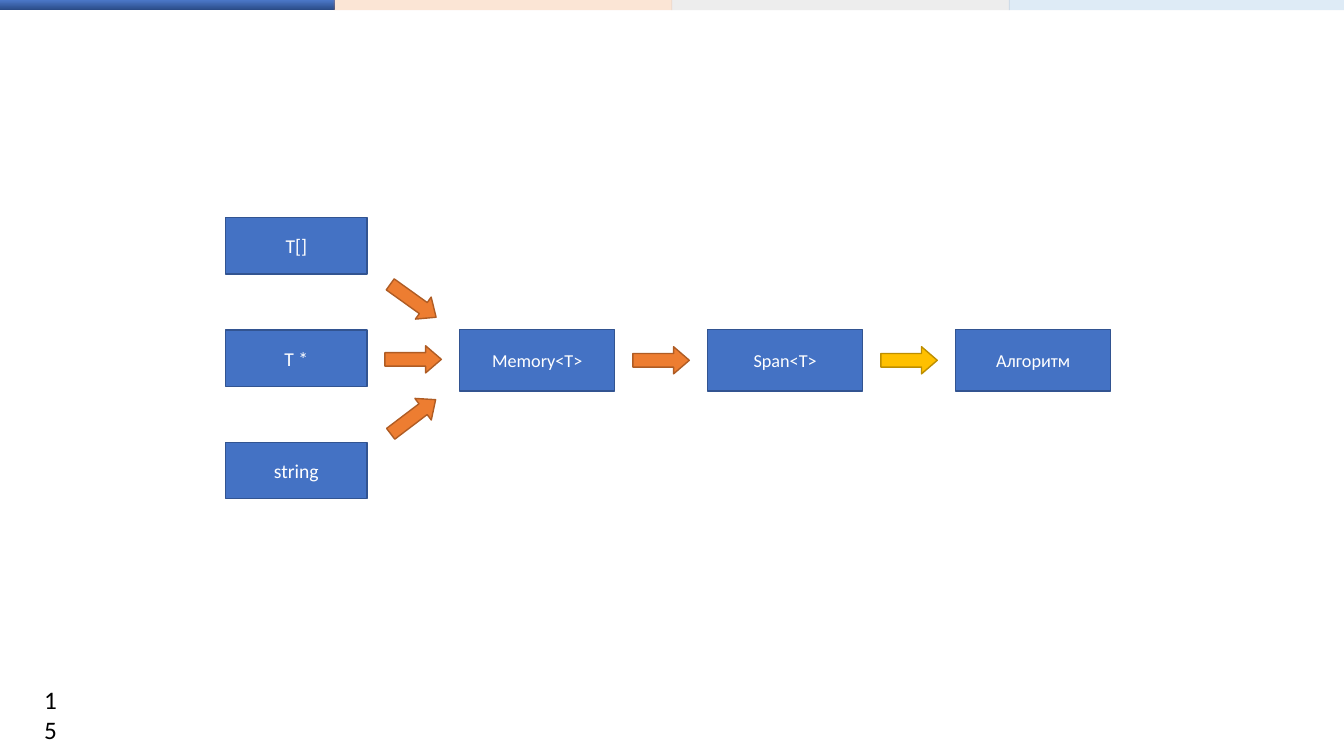
from copy import deepcopy
from dataclasses import dataclass

from lxml import etree
from pptx import Presentation
from pptx.dml.color import RGBColor
from pptx.enum.shapes import MSO_SHAPE
from pptx.enum.text import MSO_ANCHOR, PP_ALIGN
from pptx.oxml.ns import qn
from pptx.util import Pt

RECTANGLE = MSO_SHAPE.RECTANGLE
RIGHT_ARROW = MSO_SHAPE.RIGHT_ARROW
CENTER = PP_ALIGN.CENTER
MIDDLE = MSO_ANCHOR.MIDDLE


@dataclass(frozen=True)
class Theme:
    """Colours and type sizes of the slide."""
    font: str = "Calibri"
    number_size: int = 18
    input_size: int = 14
    stage_size: int = 13
    text: str = "000000"
    box_text: str = "FFFFFF"
    box: tuple = ("4472C4", "325491")
    orange: tuple = ("ED7D31", "AF5C24")
    gold: tuple = ("FFC000", "BD8E00")
    gradient: tuple = ((0, "2A4B86"), (0.48, "4A76C6"), (1, "8FAADC"))
    tints: tuple = ("ED7D31", "A5A5A5", "5B9BD5")
    tint_opacity: int = 20


class Diagram:
    """Draws the elements of one slide in a given theme."""

    def __init__(self, slide, theme):
        self.slide = slide
        self.theme = theme

    def shape(self, kind, left, top, width, height, colors=None):
        """Add a shadowless shape, optionally with a fill and an outline."""
        shape = self.slide.shapes.add_shape(kind, Pt(left), Pt(top), Pt(width), Pt(height))
        shape.shadow.inherit = False
        if colors:
            fill, line = colors
            shape.fill.solid()
            shape.fill.fore_color.rgb = RGBColor.from_string(fill)
            shape.line.color.rgb = RGBColor.from_string(line)
            shape.line.width = Pt(1)
        else:
            shape.line.fill.background()
        return shape

    def label(self, shape, text, size, color):
        """Set the text of a shape and format its runs."""
        shape.text_frame.text = text
        shape.text_frame.word_wrap = True
        for run in shape.text_frame.paragraphs[0].runs:
            run.font.name = self.theme.font
            run.font.size = Pt(size)
            run.font.color.rgb = RGBColor.from_string(color)

    def box(self, text, left, top, width, height, size):
        """Add a labelled rectangle."""
        shape = self.shape(RECTANGLE, left, top, width, height, self.theme.box)
        self.label(shape, text, size, self.theme.box_text)
        shape.text_frame.vertical_anchor = MIDDLE
        shape.text_frame.paragraphs[0].alignment = CENTER

    def arrow(self, left, top, colors, rotation=0):
        """Add a block arrow."""
        shape = self.shape(RIGHT_ARROW, left, top, 40.3, 19.4, colors)
        shape.adjustments[0] = 0.5
        shape.adjustments[1] = 0.58
        shape.rotation = rotation

    def tinted_bar(self, left, top, width, height, color):
        """Add a translucent bar."""
        shape = self.shape(RECTANGLE, left, top, width, height)
        shape.fill.solid()
        shape.fill.fore_color.rgb = RGBColor.from_string(color)
        srgb = next(shape.element.spPr.iter(qn("a:srgbClr")))
        etree.SubElement(srgb, qn("a:alpha")).set("val", str(self.theme.tint_opacity * 1000))

    def gradient_bar(self, left, top, width, height):
        """Add a bar with a vertical gradient of three stops."""
        shape = self.shape(RECTANGLE, left, top, width, height)
        shape.fill.gradient()
        shape.fill.gradient_angle = 90
        stop_list = next(shape.element.spPr.iter(qn("a:gsLst")))
        stop_list.append(deepcopy(stop_list[-1]))
        for stop, (position, color) in zip(shape.fill.gradient_stops, self.theme.gradient):
            stop.position = position
            stop.color.rgb = RGBColor.from_string(color)

    def number(self, text, left, top, width, height):
        """Add the slide number."""
        shape = self.slide.shapes.add_textbox(Pt(left), Pt(top), Pt(width), Pt(height))
        self.label(shape, text, self.theme.number_size, self.theme.text)


def main():
    """Build and save the slide."""
    presentation = Presentation()
    presentation.slide_width = Pt(960)
    presentation.slide_height = Pt(540)
    theme = Theme()
    diagram = Diagram(presentation.slides.add_slide(presentation.slide_layouts[6]), theme)

    diagram.number("15", 24.5, 485.3, 23.8, 28.8)

    bar_left, bar_pitch, bar_top, bar_width, bar_height = -2.9, 241.2, -7.2, 241.9, 14.4
    diagram.gradient_bar(bar_left, bar_top, bar_width, bar_height)
    for index, tint in enumerate(theme.tints, start=1):
        diagram.tinted_bar(bar_left + index * bar_pitch, bar_top, bar_width, bar_height, tint)

    inputs = (("T[]", 205.2, 35.6), ("T *", 247, 0), ("string", 288, 322.8))
    for index, (label, arrow_top, rotation) in enumerate(inputs):
        diagram.box(label, 161.3, 155.4 + index * 80.3, 100.8, 40.3, theme.input_size)
        diagram.arrow(275, arrow_top, theme.orange, rotation)

    stage_left, stage_pitch = 328.3, 177.1
    for index, label in enumerate(("Memory<T>", "Span<T>", "Алгоритм")):
        diagram.box(label, stage_left + index * stage_pitch, 235.5, 110.9, 43.9, theme.stage_size)
    for index, colors in enumerate((theme.orange, theme.gold)):
        diagram.arrow(452.1 + index * stage_pitch, 247.7, colors)

    presentation.save("out.pptx")


if __name__ == "__main__":
    main()
